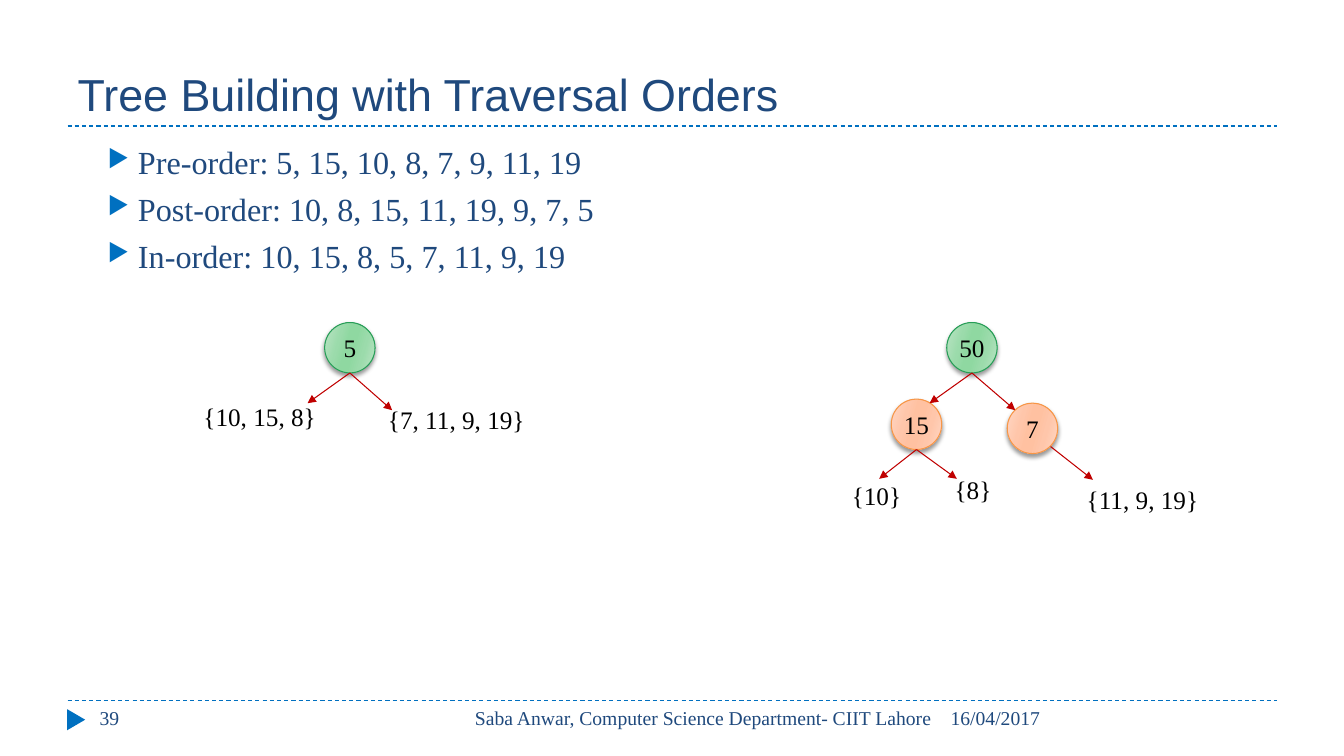
import pptx
import pptx.util
import pptx.oxml
import pptx.oxml.ns
from pptx.dml.color import RGBColor
from pptx.enum.dml import MSO_LINE
from pptx.enum.shapes import MSO_CONNECTOR, MSO_SHAPE
from pptx.enum.text import MSO_ANCHOR, MSO_AUTO_SIZE, PP_ALIGN
from pptx.util import Inches

NAVY = RGBColor(0x1F, 0x49, 0x7D)
BLUE = RGBColor(0x00, 0x70, 0xC0)
RED = RGBColor(0xC0, 0x00, 0x00)
BLACK = RGBColor(0x00, 0x00, 0x00)
GREEN_LINE = RGBColor(0x27, 0x9D, 0x57)
ORANGE_LINE = RGBColor(0xF7, 0x96, 0x46)
# Edge, inner and middle colours of a node's gradient
GREEN_SHADES = ("BBE4C5", "9BDBAB", "8FD8A1")
ORANGE_SHADES = ("FFD7C5", "FFC6AA", "FFC1A1")
NAMESPACE = pptx.oxml.ns.nsdecls("a")
NODE_SIZE = 0.5


def add_line(start, end, color):
    line = slide.shapes.add_connector(
        MSO_CONNECTOR.STRAIGHT, *[Inches(value) for value in start + end])
    line.line.color.rgb = color
    line.line.width = pptx.util.Pt(0.75)
    line._element.spPr.append(pptx.oxml.parse_xml(f"<a:effectLst {NAMESPACE}/>"))
    return line


def add_run(paragraph, text, size, color, font="Times New Roman"):
    run = paragraph.add_run()
    run.text = text
    run.font.name = font
    run.font.size = pptx.util.Pt(size)
    run.font.color.rgb = color


presentation = pptx.Presentation()
presentation.slide_width = Inches(13.33)
presentation.slide_height = Inches(7.5)
slide = presentation.slides.add_slide(presentation.slide_layouts[5])

# Rules above the footer and below the title
for y in (6.95, 1.25):
    rule = add_line((0.67, y), (12.67, y), BLUE)
    rule.line.dash_style = MSO_LINE.DASH

marker = slide.shapes.add_shape(
    MSO_SHAPE.ISOSCELES_TRIANGLE, Inches(0.65), Inches(7.05), Inches(0.21), Inches(0.18))
marker.rotation = 90
marker.shadow.inherit = False
marker.fill.solid()
marker.fill.fore_color.rgb = BLUE
marker.line.fill.background()

title = slide.shapes.title
title.left, title.top = Inches(0.67), Inches(0.17)
title.width, title.height = Inches(12), Inches(1.08)
title.text_frame.vertical_anchor = MSO_ANCHOR.BOTTOM
title.text_frame.paragraphs[0].alignment = PP_ALIGN.LEFT
add_run(title.text_frame.paragraphs[0], "Tree Building with Traversal Orders", 32, NAVY, "Arial")

footers = [
    ("16/04/2017", 9.33, 3.34, PP_ALIGN.LEFT),
    ("Saba Anwar, Computer Science Department- CIIT Lahore", 4.23, 5.11, PP_ALIGN.RIGHT),
    ("39", 0.89, 2.89, PP_ALIGN.LEFT),
]
for text, left, width, alignment in footers:
    footer = slide.shapes.add_textbox(Inches(left), Inches(6.95), Inches(width), Inches(0.4))
    footer.text_frame.word_wrap = True
    paragraph = footer.text_frame.paragraphs[0]
    paragraph.alignment = alignment
    add_run(paragraph, text, 14, NAVY)

orders = [
    "Pre-order: 5, 15, 10, 8, 7, 9, 11, 19",
    "Post-order: 10, 8, 15, 11, 19, 9, 7, 5",
    "In-order: 10, 15, 8, 5, 7, 11, 9, 19",
]
body = slide.shapes.add_textbox(Inches(0.67), Inches(1.36), Inches(12), Inches(5.4))
body.text_frame.word_wrap = True
for index, order in enumerate(orders):
    paragraph = body.text_frame.add_paragraph() if index else body.text_frame.paragraphs[0]
    properties = paragraph._p.get_or_add_pPr()
    properties.set("marL", str(Inches(0.6)))
    properties.set("indent", str(Inches(-0.3)))
    for bullet in (f'<a:buClr {NAMESPACE}><a:srgbClr val="{BLUE}"/></a:buClr>',
                   f'<a:buSzPct {NAMESPACE} val="76000"/>',
                   f'<a:buChar {NAMESPACE} char="▶"/>'):
        properties.append(pptx.oxml.parse_xml(bullet))
    if index:
        paragraph.space_before = pptx.util.Pt(6)
    add_run(paragraph, order, 23, NAVY)

nodes = [
    ("5", 3.22, 3.2, GREEN_SHADES, GREEN_LINE),
    ("7", 9.99, 4, ORANGE_SHADES, ORANGE_LINE),
    ("15", 8.84, 3.96, ORANGE_SHADES, ORANGE_LINE),
    ("50", 9.39, 3.2, GREEN_SHADES, GREEN_LINE),
]
for text, left, top, (edge, inner, middle), line_color in nodes:
    node = slide.shapes.add_shape(
        MSO_SHAPE.OVAL, Inches(left), Inches(top), Inches(NODE_SIZE), Inches(NODE_SIZE))
    stops = zip((0, 30, 45, 55, 73, 100), (edge, inner, middle, middle, inner, edge))
    stops_xml = "".join(
        f'<a:gs pos="{position * 1000}"><a:srgbClr val="{shade}"/></a:gs>'
        for position, shade in stops)
    node._element.spPr.append(pptx.oxml.parse_xml(
        f'<a:gradFill {NAMESPACE} rotWithShape="1"><a:gsLst>{stops_xml}</a:gsLst>'
        f'<a:lin ang="{16 * 60000}" scaled="0"/></a:gradFill>'))
    node.line.color.rgb = line_color
    node.line.width = pptx.util.Pt(0.75)
    node._element.spPr.append(pptx.oxml.parse_xml(
        f'<a:effectLst {NAMESPACE}><a:outerShdw blurRad="{pptx.util.Pt(3)}" '
        f'dist="{pptx.util.Pt(2)}" dir="{90 * 60000}" rotWithShape="0">'
        '<a:srgbClr val="000000"><a:alpha val="40000"/></a:srgbClr>'
        '</a:outerShdw></a:effectLst>'))
    frame = node.text_frame
    frame.margin_left = frame.margin_right = 0
    frame.vertical_anchor = MSO_ANCHOR.MIDDLE
    frame.paragraphs[0].alignment = PP_ALIGN.CENTER
    add_run(frame.paragraphs[0], text, 18, BLACK)

branches = [
    ((3.47, 3.7), (3.05, 4)),
    ((3.47, 3.7), (3.89, 4.07)),
    ((9.64, 3.7), (9.22, 4)),
    ((9.64, 3.7), (10.07, 4.07)),
    ((9.09, 4.46), (8.72, 4.75)),
    ((9.09, 4.46), (9.49, 4.75)),
    ((10.42, 4.43), (10.84, 4.76)),
]
for start, end in branches:
    arrow = add_line(start, end, RED)
    arrow.line._get_or_add_ln().append(
        pptx.oxml.parse_xml(f'<a:tailEnd {NAMESPACE} type="triangle"/>'))

subtrees = [
    ("{10}", 8.35, 4.72, 0.7),
    ("{8}", 9.37, 4.66, 0.57),
    ("{11, 9, 19}", 10.68, 4.76, 1.32),
    ("{7, 11, 9, 19}", 3.75, 3.96, 1.57),
    ("{10, 15, 8}", 1.92, 3.93, 1.33),
]
for text, left, top, width in subtrees:
    label = slide.shapes.add_textbox(Inches(left), Inches(top), Inches(width), Inches(0.4))
    label.text_frame.word_wrap = False
    label.text_frame.auto_size = MSO_AUTO_SIZE.SHAPE_TO_FIT_TEXT
    add_run(label.text_frame.paragraphs[0], text, 18, BLACK)

presentation.save("out.pptx")
